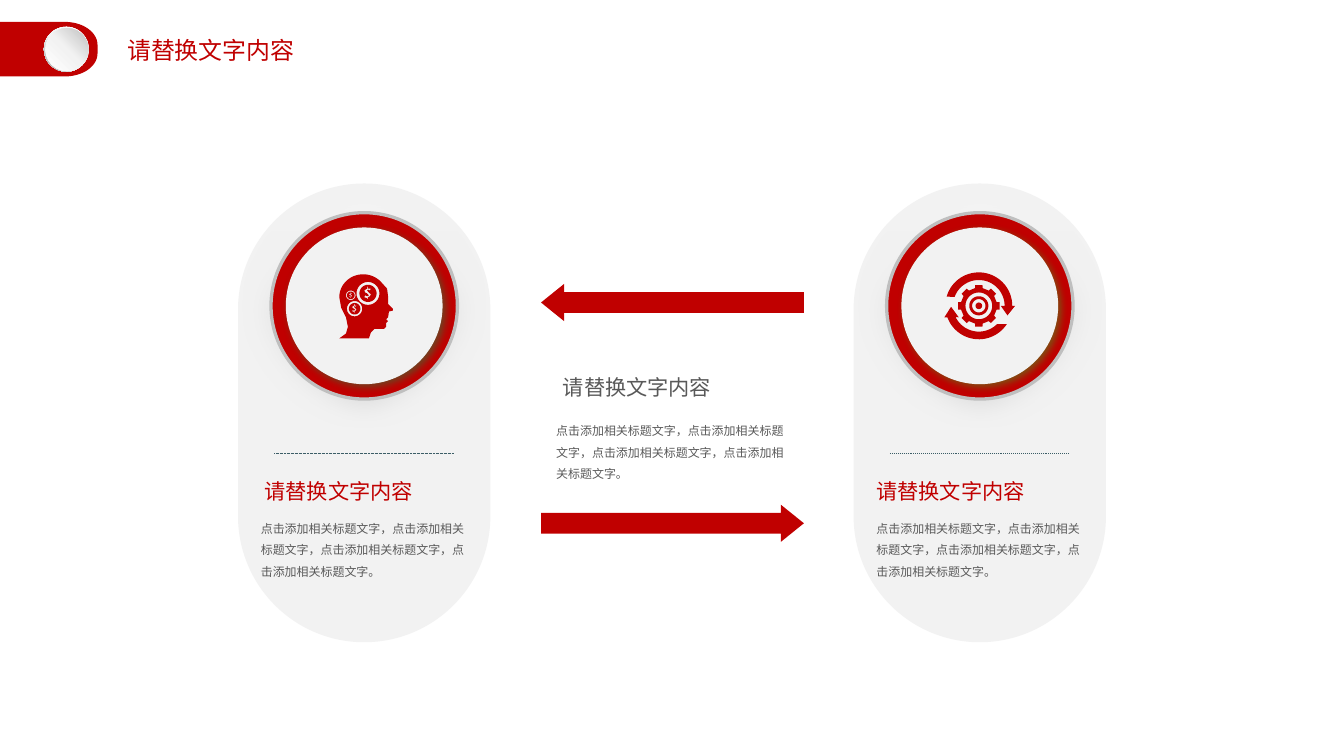
import math

import pptx
import pptx.dml.color
import pptx.enum.dml
import pptx.enum.shapes
import pptx.enum.text
import pptx.oxml
import pptx.oxml.ns
import pptx.util
from lxml import etree
from pptx.util import Inches

RED, PALE, GREY = "C00000", "F2F2F2", "595959"
HEADING = "请替换文字内容"
BODY = "，".join(["点击添加相关标题文字"] * 4) + "。"
PRESET = pptx.enum.shapes.MSO_SHAPE
qn = pptx.oxml.ns.qn

# Dollar sign drawn around (0, 0) for a coin of radius 0.09
DOLLAR = [(0, .04), (0, .06), (-.01, .06), (-.01, .05), (-.04, .04), (-.03, .02),
          (-.01, .03), (.01, .02), (-.01, 0), (-.03, -.01), (-.04, -.03),
          (-.01, -.05), (-.01, -.07), (0, -.07), (0, -.05), (.03, -.05),
          (.02, -.03), (0, -.04), (-.01, -.03), (.01, -.01), (.03, .01), (.02, .03)]


def rgb(color):
    return pptx.dml.color.RGBColor.from_string(color)


def paint(shape, color):
    shape.shadow.inherit = False
    shape.fill.solid()
    shape.fill.fore_color.rgb = rgb(color)
    shape.line.fill.background()
    return shape


def add_preset(slide, kind, left, top, width, height, color, adjustments=()):
    shape = slide.shapes.add_shape(kind, Inches(left), Inches(top), Inches(width), Inches(height))
    for index, value in enumerate(adjustments):
        shape.adjustments[index] = value
    return paint(shape, color)


def add_disc(slide, cx, cy, size, color):
    return add_preset(slide, PRESET.OVAL, cx - size / 2, cy - size / 2, size, size, color)


def set_gradient(shape, stops, clockwise_angle):
    shape.fill.gradient()
    shape.fill.gradient_angle = 360 - clockwise_angle
    stop_list = shape._element.spPr.find(qn("a:gradFill")).find(qn("a:gsLst"))
    for old_stop in list(stop_list):
        stop_list.remove(old_stop)
    for position, color in stops:
        stop = etree.SubElement(stop_list, qn("a:gs"), pos=str(position * 1000))
        etree.SubElement(stop, qn("a:srgbClr"), val=color)


def add_effect(shape, tag, **attributes):
    effects = shape._element.spPr.find(qn("a:effectLst"))
    return etree.SubElement(effects, qn(tag), **attributes)


def add_outline(slide, contours, color=RED):
    """Filled outline; contours after the first cut holes."""
    builder = None
    for contour in contours:
        points = [(Inches(x), Inches(y)) for x, y in contour]
        if builder is None:
            builder = slide.shapes.build_freeform(*points[0])
        else:
            builder.move_to(*points[0])
        builder.add_line_segments(points[1:], close=True)
    return paint(builder.convert_to_shape(), color)


def arc(cx, cy, rx, ry, start, end, steps=32):
    """Points along an arc; angles in degrees, clockwise from the right."""
    angles = [math.radians(start + (end - start) * i / steps) for i in range(steps + 1)]
    return [(cx + rx * math.cos(a), cy + ry * math.sin(a)) for a in angles]


def circle(cx, cy, radius):
    return arc(cx, cy, radius, radius, 0, 360)[:-1]


def write(frame, text, size, font, color, line_spacing=None):
    frame.word_wrap = True
    frame.auto_size = pptx.enum.text.MSO_AUTO_SIZE.SHAPE_TO_FIT_TEXT
    frame.vertical_anchor = pptx.enum.text.MSO_ANCHOR.TOP
    paragraph = frame.paragraphs[0]
    paragraph.alignment = pptx.enum.text.PP_ALIGN.LEFT
    if line_spacing:
        paragraph.line_spacing = line_spacing
    run = paragraph.add_run()
    run.text = text
    run.font.size = pptx.util.Pt(size)
    run.font.name = font
    run.font.color.rgb = rgb(color)


def add_heading(slide, left, top, width, color):
    box = slide.shapes.add_textbox(Inches(left), Inches(top), Inches(width), Inches(.37))
    write(box.text_frame, HEADING, 16, "Calibri", color)


def add_body(slide, left, top, width):
    box = slide.shapes.add_textbox(Inches(left), Inches(top), Inches(width), Inches(.76))
    write(box.text_frame, BODY, 9, "Arial", GREY, 1.5)


def add_divider(slide, left, right, y, weight):
    divider = slide.shapes.add_connector(pptx.enum.shapes.MSO_CONNECTOR.STRAIGHT,
                                         Inches(left), Inches(y), Inches(right), Inches(y))
    divider.line.color.rgb = rgb("3C5E67")
    divider.line.width = pptx.util.Pt(weight)
    divider.line.dash_style = pptx.enum.dml.MSO_LINE.ROUND_DOT
    etree.SubElement(divider._element.spPr, qn("a:effectLst"))


def add_panel(slide, left, heading_left, glow, divider_weight):
    add_preset(slide, PRESET.ROUNDED_RECTANGLE, left, 1.92, 2.64, 4.8, PALE, [.5])
    cx, cy = left + 1.32, 3.2

    # Badge: soft halo, red ring, pale centre
    halo = add_disc(slide, cx, cy, 2.69, PALE)
    set_gradient(halo, [(0, "FFFFFF"), (100, "BFBFBF")], 90)
    add_effect(halo, "a:softEdge", rad=str(Inches(.35)))
    ring = add_disc(slide, cx, cy, 1.95, RED)
    ring.line.color.rgb = rgb("BFBFBF")
    ring.line.width = pptx.util.Pt(2.5)
    centre = add_disc(slide, cx, cy, 1.64, PALE)
    shadow = add_effect(centre, "a:outerShdw", blurRad=str(pptx.util.Pt(6)),
                        dist=str(pptx.util.Pt(3)), dir=str(45 * 60000),
                        algn="tl", rotWithShape="0")
    tint = etree.SubElement(shadow, qn("a:srgbClr"), val=glow)
    etree.SubElement(tint, qn("a:alpha"), val="64000")

    # Caption
    add_divider(slide, left + .38, left + 2.26, 4.74, divider_weight)
    add_heading(slide, heading_left, 4.96, 2.71, RED)
    add_body(slide, left + .14, 5.33, 2.35)


def add_head_icon(slide):
    face = [(4.05, 3.02), (4.06, 3.1), (4.06, 3.18), (4.11, 3.23), (4.11, 3.25), (4.07, 3.26),
            (4.06, 3.32), (4.04, 3.34), (4.06, 3.36), (4.04, 3.38), (4.04, 3.42), (4.02, 3.44),
            (3.92, 3.44), (3.88, 3.48), (3.86, 3.54), (3.55, 3.54), (3.62, 3.49), (3.64, 3.42),
            (3.62, 3.32), (3.57, 3.22)]
    coins = [(3.67, 3.09, .04, .05), (3.85, 3.07, .09, .12), (3.71, 3.23, .06, .08)]
    dome = arc(3.8, 3.11, .25, .24, 180, 320)
    add_outline(slide, [dome + face] + [circle(x, y, hole) for x, y, _, hole in coins])
    for x, y, radius, _ in coins:
        scale = radius / .09
        sign = [(x + dx * scale, y + dy * scale) for dx, dy in DOLLAR]
        add_outline(slide, [circle(x, y, radius), sign])


def add_gear_icon(slide):
    cx, cy = 10.24, 3.2

    # Circling arrows
    upper_head = [(10.62, 3.2), (10.54, 3.3), (10.47, 3.2)]
    lower_head = [(10.03, 3.32), (9.95, 3.21), (9.88, 3.32)]
    add_outline(slide, [arc(cx, cy, .35, .35, -164, 0) + upper_head
                        + arc(cx, cy, .27, .27, 0, -160)])
    add_outline(slide, [arc(cx, cy, .27, .27, 45, 154) + lower_head
                        + arc(cx, cy, .35, .35, 160, 33)])

    # Eight-toothed gear and hub
    tooth = [(.19, -12), (.22, -10), (.22, 10), (.19, 12)]
    gear = [(cx + r * math.cos(math.radians(45 * n + a)), cy + r * math.sin(math.radians(45 * n + a)))
            for n in range(8) for r, a in tooth]
    add_outline(slide, [gear, circle(cx, cy, .14)])
    add_outline(slide, [circle(cx, cy, .1), circle(cx, cy, .07)])
    add_disc(slide, cx, cy, .07, RED)


def add_header(slide):
    tab = [(0, .23)] + arc(.68, .47, .34, .24, -90, 0) + arc(.68, .56, .34, .24, 0, 90) + [(0, .8)]
    add_outline(slide, [tab])
    rim = add_preset(slide, PRESET.DONUT, .46, .28, .47, .47, PALE, [.05])
    set_gradient(rim, [(0, "FFFFFF"), (55, PALE), (100, "A6A6A6")], 135)
    knob = add_disc(slide, .7, .52, .45, PALE)
    set_gradient(knob, [(0, "FFFFFF"), (51, PALE), (100, "BFBFBF")], 315)

    title = slide.shapes.title
    title.left, title.top, title.width, title.height = map(Inches, (1.23, .32, 2.18, .4))
    write(title.text_frame, HEADING, 18, "Calibri", RED)


def main():
    deck = pptx.Presentation()
    deck.slide_width, deck.slide_height = Inches(14.06), Inches(7.91)
    slide = deck.slides.add_slide(deck.slide_layouts[5])

    add_header(slide)

    # Side panels
    add_panel(slide, 2.49, 2.67, "3F6C36", .5)
    add_panel(slide, 8.93, 9.07, "57821F", .75)
    add_head_icon(slide)
    add_gear_icon(slide)

    # Exchange between the panels
    for kind, top in ((PRESET.LEFT_ARROW, 2.97), (PRESET.RIGHT_ARROW, 5.28)):
        add_preset(slide, kind, 5.66, top, 2.75, .39, RED, [.55, .62])
    add_heading(slide, 5.79, 3.87, 2.49, GREY)
    add_body(slide, 5.72, 4.31, 2.62)

    deck.save("out.pptx")


if __name__ == "__main__":
    main()
